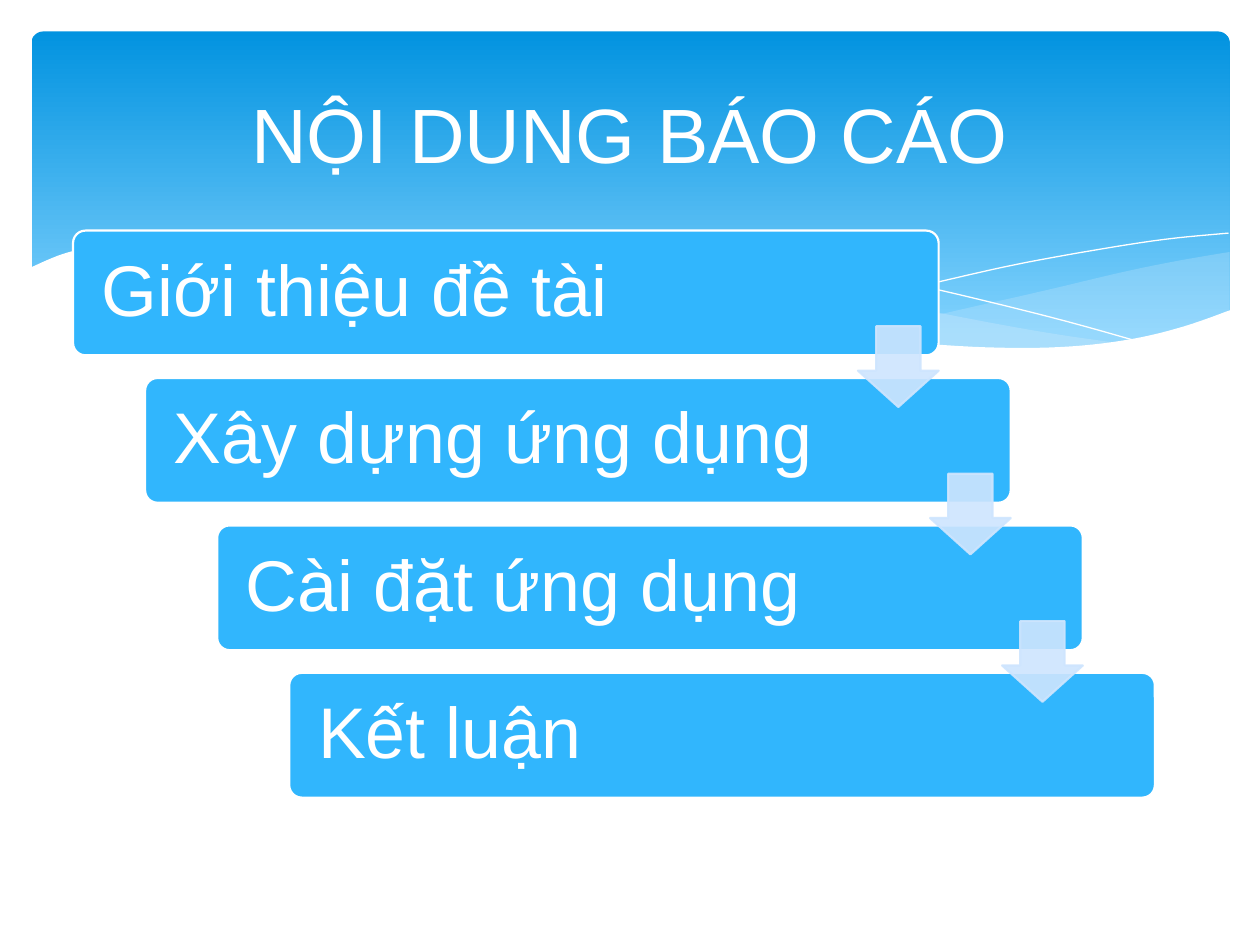
from dataclasses import dataclass

import pptx
import pptx.dml.color
import pptx.enum.shapes
import pptx.enum.text
import pptx.oxml
import pptx.oxml.ns
import pptx.util
from lxml import etree

COLUMNS, ROWS = 100, 75
CELL = pptx.util.Inches(0.1)
SHAPES = pptx.enum.shapes.MSO_SHAPE
ANCHOR = pptx.enum.text.MSO_ANCHOR
ALIGN = pptx.enum.text.PP_ALIGN


@dataclass(frozen=True)
class Theme:
    font: str = "Arial"
    title_size: float = 44
    step_size: float = 41
    outline: float = 1.25
    white: str = "FFFFFF"
    band_top: str = "0293E0"
    band_bottom: str = "83D3FE"
    ripple: str = "C6E7FC"
    step: str = "31B6FD"
    arrow: str = "CEE5FE"


THEME = Theme()
TITLE = "NỘI DUNG BÁO CÁO"
STEPS = ["Giới thiệu đề tài", "Xây dựng ứng dụng", "Cài đặt ứng dụng", "Kết luận"]

# Each step moves this many columns right and rows down.
STEP_SHIFT = (5.72, 11.7)
FIRST_STEP = (5.8, 18.3, 68.7, 9.9)
FIRST_ARROW = (68.1, 25.9, 6.4, 6.4)

# Wave edges as (column, row) knots; an area is closed from several edges.
RIGHT_RIPPLE = [
    [(97.6, 20), (93.5, 20.7), (89.1, 21.6), (83.2, 23), (77.9, 24.2),
     (72.9, 25.3), (66.1, 26.5)],
    [(66.1, 26.5), (70.5, 27.1), (75.7, 27.6), (80.3, 27.8), (84.4, 27.7),
     (88.1, 27.3), (91.3, 26.7), (94.2, 25.9), (97.6, 24.7)],
]
LONG_RIPPLE = [
    [(89.3, 27.3), (83.7, 26.5), (77.5, 25.4), (70.6, 24), (62.9, 22.2),
     (56.9, 20.8), (51.4, 19.8), (46.5, 19.1), (42, 18.7), (38, 18.5),
     (34.4, 18.6), (31.3, 18.8), (28.6, 19.1)],
    [(28.6, 19.1), (34.2, 19.9), (40.4, 21.1), (44.9, 22.2), (53, 24),
     (60.1, 25.5), (66.5, 26.6), (72.2, 27.4), (77.3, 27.7), (81.8, 27.8),
     (85.7, 27.7), (89.3, 27.3)],
]
FALLING_LINE = [
    (30.9, 19.5), (34.4, 19), (38.7, 18.7), (43.3, 18.7), (48.9, 19),
    (55.6, 19.7), (63.6, 20.8), (72.7, 22.6), (83.1, 25.1), (90.7, 27.2),
]
RISING_LINE = [
    (61.3, 25.7), (67.2, 24.1), (74.8, 22.3), (80.6, 21), (86.6, 19.9),
    (92.4, 19), (97.5, 18.5),
]
WHITE_WAVE = [
    [(97.7, 24.6), (94, 25.9), (89.9, 26.9), (85, 27.5), (79.3, 27.6),
     (72.6, 27.2), (64.8, 26.2), (55.5, 24.5), (44.7, 22), (36.5, 20.2),
     (29.2, 19), (23, 18.5), (17.7, 18.4), (13.2, 18.6), (9.5, 19.1),
     (6.7, 19.7), (4.6, 20.3), (2.3, 21.3)],
    [(2.3, 32.9), (97.7, 32.9)],
]


def color(code):
    return pptx.dml.color.RGBColor.from_string(code)


def cells(*lengths):
    return [round(length * CELL) for length in lengths]


def set_opacity(shape, percent):
    for node in shape.element.spPr.iter(pptx.oxml.ns.qn("a:srgbClr")):
        alpha = etree.SubElement(node, pptx.oxml.ns.qn("a:alpha"))
        alpha.set("val", str(percent * 1000))


def smooth(knots, pieces=6):
    """Return points on a Catmull-Rom curve through the knots."""
    padded = [knots[0], *knots, knots[-1]]
    points = [knots[0]]
    for a, b, c, d in zip(padded, padded[1:], padded[2:], padded[3:]):
        for piece in range(1, pieces + 1):
            t = piece / pieces
            points.append(tuple(
                (2 * q + (r - p) * t + (2 * p - 5 * q + 4 * r - s) * t**2
                 + (3 * q - p - 3 * r + s) * t**3) / 2
                for p, q, r, s in zip(a, b, c, d)
            ))
    return points


def add_outline(slide, points, close):
    start, *rest = [cells(*point) for point in points]
    builder = slide.shapes.build_freeform(*start)
    builder.add_line_segments(rest, close=close)
    outline = builder.convert_to_shape()
    outline.shadow.inherit = False
    return outline


def add_wave_area(slide, edges, fill, opacity=100):
    points = [point for edge in edges for point in smooth(edge)]
    area = add_outline(slide, points, close=True)
    area.fill.solid()
    area.fill.fore_color.rgb = color(fill)
    area.line.fill.background()
    if opacity < 100:
        set_opacity(area, opacity)


def add_wave_line(slide, knots):
    hairline = add_outline(slide, smooth(knots), close=False)
    hairline.fill.background()
    hairline.line.color.rgb = color(THEME.white)
    hairline.line.width = pptx.util.Pt(0)


def add_band(slide):
    band = slide.shapes.add_shape(SHAPES.ROUNDED_RECTANGLE, *cells(2.5, 2.5, 95.1, 27))
    band.adjustments[0] = 0.034
    band.shadow.inherit = False
    band.line.fill.background()
    band.fill.gradient()
    band.fill.gradient_angle = 270
    stops = zip(band.fill.gradient_stops, (0, 0.9), (THEME.band_top, THEME.band_bottom))
    for stop, position, code in stops:
        stop.position = position
        stop.color.rgb = color(code)


def add_block(slide, kind, place, adjustments, fill, line):
    block = slide.shapes.add_shape(kind, *cells(*place))
    for index, value in enumerate(adjustments):
        block.adjustments[index] = value
    block.shadow.inherit = False
    block.fill.solid()
    block.fill.fore_color.rgb = color(fill)
    block.line.color.rgb = color(line)
    block.line.width = pptx.util.Pt(THEME.outline)
    return block


def write(shape, wording, size, align):
    frame = shape.text_frame
    frame.word_wrap = True
    frame.vertical_anchor = ANCHOR.MIDDLE
    paragraph = frame.paragraphs[0]
    paragraph.text = wording
    paragraph.alignment = align
    font = paragraph.runs[0].font
    font.name = THEME.font
    font.size = pptx.util.Pt(size)
    font.color.rgb = color(THEME.white)
    return frame


def shifted(place, index):
    left, top, width, height = place
    right, down = STEP_SHIFT
    return left + index * right, top + index * down, width, height


def add_staircase(slide):
    for index, wording in enumerate(STEPS):
        step = add_block(slide, SHAPES.ROUNDED_RECTANGLE, shifted(FIRST_STEP, index),
                         [0.1], THEME.step, THEME.white)
        frame = write(step, wording, THEME.step_size, ALIGN.LEFT)
        frame.margin_left, frame.margin_right = cells(2, 2)
        frame.paragraphs[0].line_spacing = 0.9
    for index in range(len(STEPS) - 1):
        arrow = add_block(slide, SHAPES.DOWN_ARROW, shifted(FIRST_ARROW, index),
                          [0.55, 0.45], THEME.arrow, THEME.arrow)
        set_opacity(arrow, 90)


def main():
    deck = pptx.Presentation()
    deck.slide_width, deck.slide_height = cells(COLUMNS, ROWS)
    slide = deck.slides.add_slide(deck.slide_layouts[6])
    add_band(slide)
    add_wave_area(slide, RIGHT_RIPPLE, THEME.ripple, 29)
    add_wave_area(slide, LONG_RIPPLE, THEME.ripple, 40)
    add_wave_line(slide, FALLING_LINE)
    add_wave_line(slide, RISING_LINE)
    add_wave_area(slide, WHITE_WAVE, THEME.white)
    title = slide.shapes.add_textbox(*cells(5, 3.7, 90, 13.7))
    write(title, TITLE, THEME.title_size, ALIGN.CENTER)
    add_staircase(slide)
    deck.save("out.pptx")


if __name__ == "__main__":
    main()
